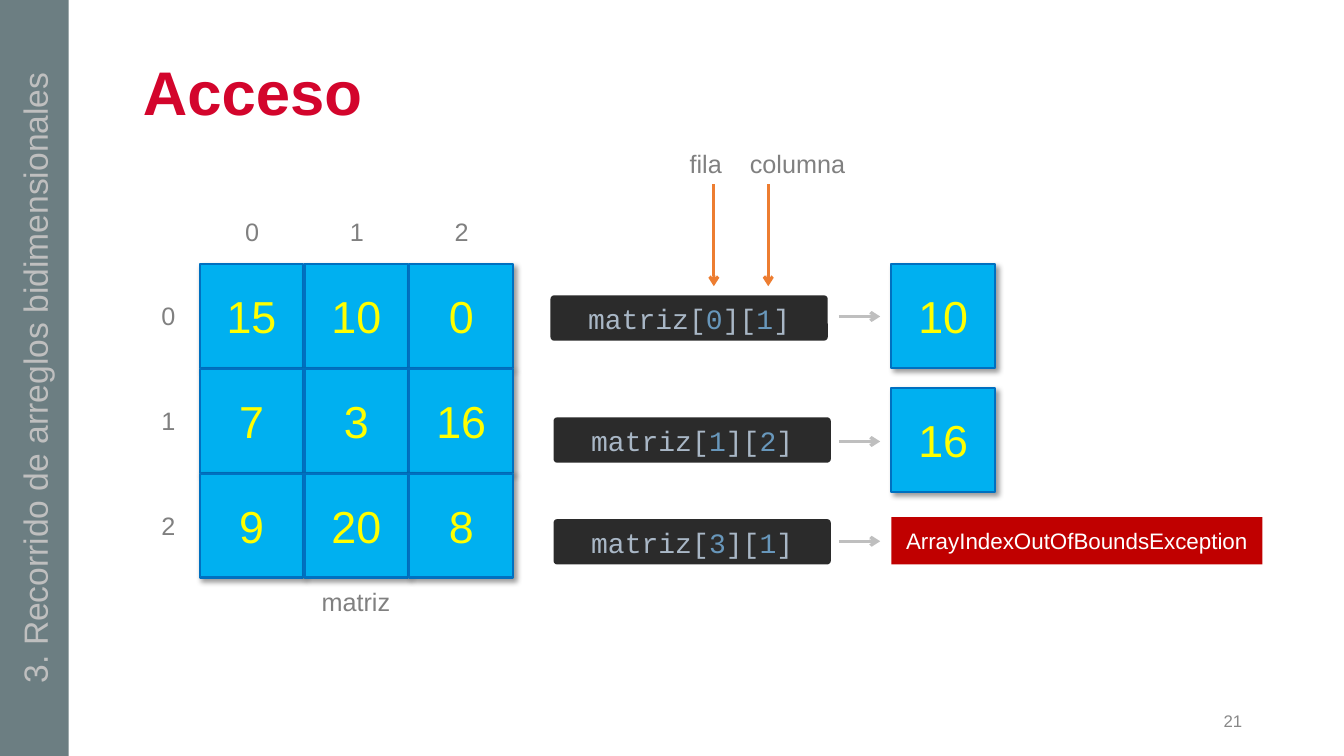
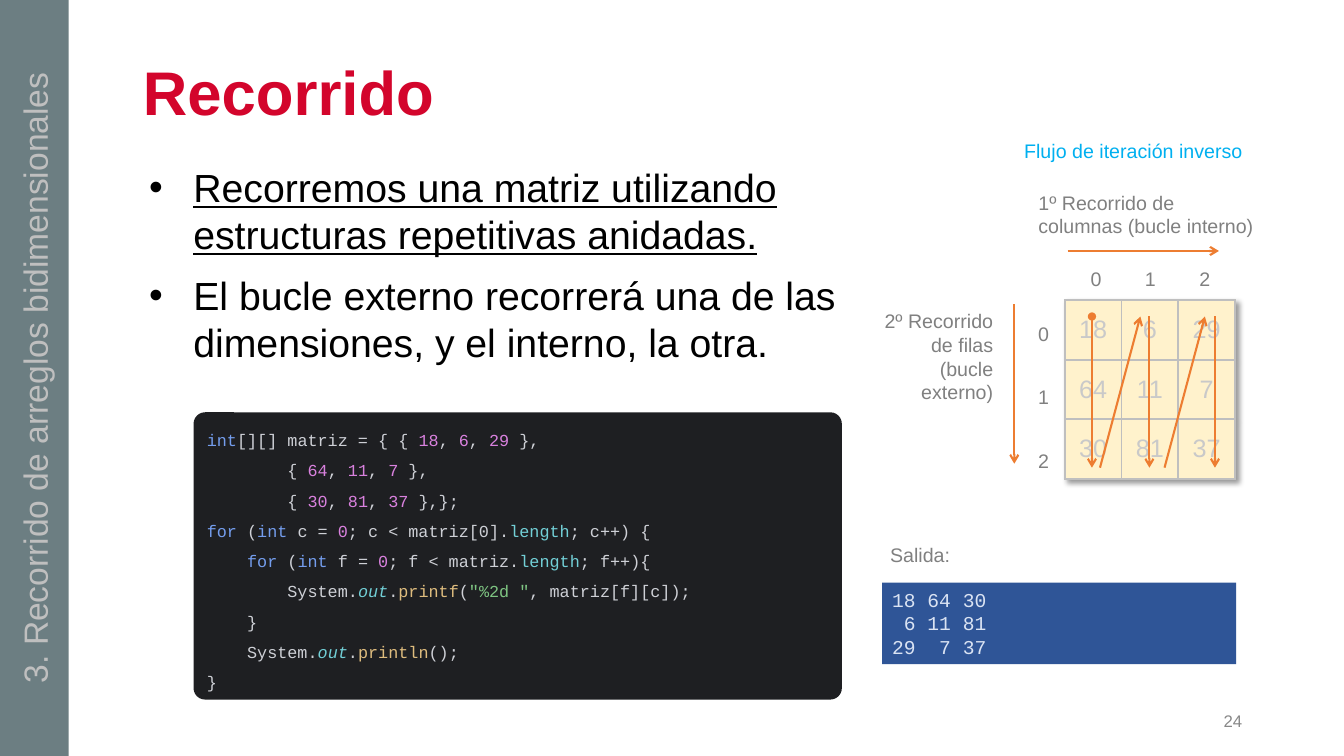
"""Build two slides on accessing and traversing two-dimensional arrays."""
import typing

import lxml.etree
import pptx
import pptx.dml.color
import pptx.enum.shapes
import pptx.enum.text
import pptx.oxml.ns
import pptx.util

Inches = pptx.util.Inches
ALIGN = pptx.enum.text.PP_ALIGN
ANCHOR = pptx.enum.text.MSO_ANCHOR
SHAPE = pptx.enum.shapes.MSO_SHAPE

RED, BAND, SILVER, GRAY, PAGE_GRAY = "D3052C", "6C7E82", "BFBFBF", "808080", "888888"
SKY, CELL_EDGE, YELLOW, ORANGE = "00B0F0", "0070C0", "FFFF00", "ED7D31"
ACCESS_BOX, ACCESS_TEXT, ACCESS_INDEX = "2B2B2B", "A9B7C6", "6897BB"
CODE_BOX, CODE_TEXT = "1E1F22", "CED0D6"
KEYWORD, NUMBER, FIELD, METHOD, STRING = "749DED", "D981DE", "72CFD6", "DEBC7E", "7EC482"
SANS, MONO = "Arial", "Courier New"


class Run(typing.NamedTuple):
    text: str
    color: str = ""
    italic: bool = False
    underline: bool = False


def rgb(value):
    return pptx.dml.color.RGBColor.from_string(value)


def child(parent, tag, **attributes):
    return lxml.etree.SubElement(parent, pptx.oxml.ns.qn(tag), attributes)


def add_shadow(effects):
    shadow = child(effects, "a:outerShdw", blurRad=str(pptx.util.Pt(4)),
                   dist=str(pptx.util.Pt(3)), dir="2700000", algn="tl", rotWithShape="0")
    child(child(shadow, "a:srgbClr", val="000000"), "a:alpha", val="40000")


class Deck:
    section = "3. Recorrido de arreglos bidimensionales"

    def __init__(self):
        self.presentation = pptx.Presentation()
        self.presentation.slide_width = Inches(13.33)
        self.presentation.slide_height = Inches(7.5)
        self.slide = None

    def new_slide(self, title, number):
        self.slide = self.presentation.slides.add_slide(self.presentation.slide_layouts[6])
        self.text(1.32, 0.47, 11.1, 0.86, [[title]], 44, RED, bold=True, anchor=ANCHOR.MIDDLE)
        self.text(9.42, 6.95, 3, 0.4, [[number]], 12, PAGE_GRAY, align=ALIGN.RIGHT,
                  anchor=ANCHOR.MIDDLE)
        band = self.box(0, 0, 0.68, 7.5, BAND, [[self.section]], 24, SILVER)
        band.element.txBody.bodyPr.set("vert", "vert270")

    def fill_text(self, frame, paragraphs, size, color, font=SANS, align=ALIGN.LEFT, bold=False,
                  spacing=None, gap=0, bullet=False):
        for index, runs in enumerate(paragraphs):
            paragraph = frame.add_paragraph() if index else frame.paragraphs[0]
            if bullet:
                properties = paragraph._p.get_or_add_pPr()
                properties.set("marL", str(Inches(0.5)))
                properties.set("indent", str(Inches(-0.44)))
                child(properties, "a:buFont", typeface=SANS)
                child(properties, "a:buChar", char="•")
            paragraph.alignment = align
            if spacing:
                paragraph.line_spacing = spacing
            if gap and index:
                paragraph.space_before = pptx.util.Pt(gap)
            for item in runs:
                part = item if isinstance(item, Run) else Run(item)
                run = paragraph.add_run()
                run.text = part.text
                run.font.name = font
                run.font.size = pptx.util.Pt(size)
                run.font.bold = bold
                run.font.italic = part.italic
                run.font.underline = part.underline
                run.font.color.rgb = rgb(part.color or color)

    def text(self, left, top, width, height, paragraphs, size, color, anchor=ANCHOR.TOP, **style):
        shape = self.slide.shapes.add_textbox(Inches(left), Inches(top), Inches(width),
                                              Inches(height))
        shape.text_frame.word_wrap = True
        shape.text_frame.vertical_anchor = anchor
        self.fill_text(shape.text_frame, paragraphs, size, color, **style)

    def label(self, center_x, center_y, words, size=18, width=1.5):
        self.text(center_x - width / 2, center_y - 0.25, width, 0.5, [[words]], size, GRAY,
                  align=ALIGN.CENTER, anchor=ANCHOR.MIDDLE)

    def box(self, left, top, width, height, fill, paragraphs, size, color, radius=None,
            anchor=ANCHOR.MIDDLE, align=ALIGN.CENTER, **style):
        kind = SHAPE.ROUNDED_RECTANGLE if radius else SHAPE.RECTANGLE
        shape = self.slide.shapes.add_shape(kind, Inches(left), Inches(top), Inches(width),
                                            Inches(height))
        if radius:
            shape.adjustments[0] = radius
        shape.shadow.inherit = False
        shape.fill.solid()
        shape.fill.fore_color.rgb = rgb(fill)
        shape.line.fill.background()
        shape.text_frame.word_wrap = True
        shape.text_frame.vertical_anchor = anchor
        self.fill_text(shape.text_frame, paragraphs, size, color, align=align, **style)
        return shape

    def cell(self, left, top, value):
        shape = self.box(left, top, 1.03, 1.03, SKY, [[value]], 32, YELLOW)
        shape.line.color.rgb = rgb(CELL_EDGE)
        shape.line.width = pptx.util.Pt(1.5)
        add_shadow(shape.element.spPr.find(pptx.oxml.ns.qn("a:effectLst")))

    def arrow(self, start, end, color=ORANGE, width=1.5, head=None):
        connector = self.slide.shapes.add_connector(
            pptx.enum.shapes.MSO_CONNECTOR.STRAIGHT, *map(Inches, start + end))
        connector.line.color.rgb = rgb(color)
        connector.line.width = pptx.util.Pt(width)
        line = connector.element.spPr.get_or_add_ln()
        if head:
            child(line, "a:headEnd", type=head)
        child(line, "a:tailEnd", type="arrow")
        child(connector.element.spPr, "a:effectLst")

    def table(self, left, top, width, height, rows):
        frame = self.slide.shapes.add_table(len(rows), len(rows[0]), Inches(left), Inches(top),
                                            Inches(width), Inches(height))
        table = frame.table
        table.first_row = table.horz_banding = False
        effects = child(table._tbl.tblPr, "a:effectLst")
        table._tbl.tblPr.insert(0, effects)
        add_shadow(effects)
        for row, values in enumerate(rows):
            for column, value in enumerate(values):
                cell = table.cell(row, column)
                properties = cell._tc.get_or_add_tcPr()
                for side in ("a:lnL", "a:lnR", "a:lnT", "a:lnB"):
                    border = child(properties, side, w=str(pptx.util.Pt(1.5)))
                    child(child(border, "a:solidFill"), "a:srgbClr", val=SILVER)
                cell.fill.solid()
                cell.fill.fore_color.rgb = rgb("FFF2CC")
                cell.vertical_anchor = ANCHOR.MIDDLE
                self.fill_text(cell.text_frame, [[value]], 18, "C9C9C9", align=ALIGN.CENTER)


def access_slide(deck):
    deck.new_slide("Acceso", "21")
    left, top, pitch = 1.98, 2.62, 1.04
    for row, values in enumerate((("15", "10", "0"), ("7", "3", "16"), ("9", "20", "8"))):
        for column, value in enumerate(values):
            deck.cell(left + column * pitch, top + row * pitch, value)
    for index in range(3):
        deck.label(left + 0.52 + index * pitch, 2.3, str(index))
        deck.label(1.67, 3.13 + index * pitch, str(index))
    deck.label(3.53, 5.97, "matriz")

    accesses = ((5.46, 2.93, 3.14, "0", "1"), (5.49, 4.14, 4.38, "1", "2"),
                (5.49, 5.15, 5.37, "3", "1"))
    for box_left, box_top, arrow_y, row, column in accesses:
        runs = ["matriz[", Run(row, ACCESS_INDEX), "][", Run(column, ACCESS_INDEX), "]"]
        deck.box(box_left, box_top, 2.75, 0.45, ACCESS_BOX, [runs], 20, ACCESS_TEXT,
                 radius=0.08, font=MONO)
        deck.arrow((8.32, arrow_y), (8.73, arrow_y), SILVER, 2.25)
    deck.cell(8.84, 2.62, "10")
    deck.cell(8.84, 3.85, "16")
    deck.box(8.84, 5.13, 3.68, 0.47, "C00000", [["ArrayIndexOutOfBoundsException"]], 16, "FFFFFF")

    for words, label_x, arrow_x in (("fila", 7, 7.08), ("columna", 7.91, 7.62)):
        deck.label(label_x, 1.62, words)
        deck.arrow((arrow_x, 1.83), (arrow_x, 2.84), width=2.25)


def matrix_row(start, values, end):
    runs = [start]
    for index, value in enumerate(values):
        runs += [", "] * bool(index) + [Run(value, NUMBER)]
    return runs + [end]


def loop_header(indent, variable, limit, end):
    return [indent, Run("for ", KEYWORD), "(", Run("int ", KEYWORD), f"{variable} = ",
            Run("0", NUMBER), f"; {variable} < {limit}.", Run("length", FIELD), end]


def print_call(indent, method, *arguments):
    return [indent + "System.", Run("out", FIELD, italic=True), ".", Run(method, METHOD), "(",
            *arguments, ");"]


def traversal_slide(deck):
    deck.new_slide("Recorrido", "24")
    deck.text(1.32, 1.57, 7.5, 2.4, [
        [Run("Recorremos una matriz utilizando estructuras repetitivas anidadas.",
             underline=True)],
        ["El bucle externo recorrerá una de las dimensiones, y el interno, la otra."],
    ], 28, "000000", gap=10, bullet=True)

    rows = (("18", "6", "29"), ("64", "11", "7"), ("30", "81", "37"))
    code = [
        [Run("int", KEYWORD)] + matrix_row("[][] matriz = { { ", rows[0], " },"),
        matrix_row("        { ", rows[1], " },"),
        matrix_row("        { ", rows[2], " },};"),
        loop_header("", "c", "matriz[0]", "; c++) {"),
        loop_header("    ", "f", "matriz", "; f++){"),
        print_call("        ", "printf", Run('"%2d "', STRING), ", matriz[f][c]"),
        ["    }"],
        print_call("    ", "println"),
        ["}"],
    ]
    deck.box(1.92, 4.09, 6.43, 2.85, CODE_BOX, code, 12, CODE_TEXT, radius=0.04,
             align=ALIGN.LEFT, font=MONO, spacing=1.5)

    deck.table(10.56, 2.98, 1.69, 1.77, rows)
    for index in range(3):
        deck.label(10.87 + index * 0.54, 2.76, str(index), 14, 0.5)
        deck.label(10.35, 3.31 + index * 0.63, str(index), 14, 0.5)

    upper, lower = 3.14, 4.64
    for x, head in ((10.83, "oval"), (11.4, None), (12.05, None)):
        deck.arrow((x, upper), (x, lower), head=head)
    for x in (10.91, 11.55):
        deck.arrow((x, lower), (x + 0.4, upper))
    deck.arrow((10.59, 2.49), (12.09, 2.49))
    deck.arrow((10.06, 3.02), (10.06, 4.6))

    deck.text(10.06, 1.33, 2.97, 0.34, [["Flujo de iteración inverso"]], 14, SKY)
    deck.text(10.2, 1.84, 2.42, 0.57, [["1º Recorrido de columnas (bucle interno)"]], 14, GRAY)
    deck.text(8.57, 3.02, 1.38, 1.04, [["2º Recorrido de filas (bucle externo)"]], 14, GRAY,
              align=ALIGN.RIGHT)
    deck.text(8.73, 5.34, 2.27, 0.34, [["Salida:"]], 14, GRAY)
    deck.box(8.75, 5.78, 3.51, 0.81, "2F5597", [["18 64 30"], [" 6 11 81"], ["29  7 37"]], 14,
             "DAE3F3", anchor=ANCHOR.TOP, align=ALIGN.LEFT, font=MONO)


def main():
    deck = Deck()
    access_slide(deck)
    traversal_slide(deck)
    deck.presentation.save("out.pptx")


if __name__ == "__main__":
    main()
